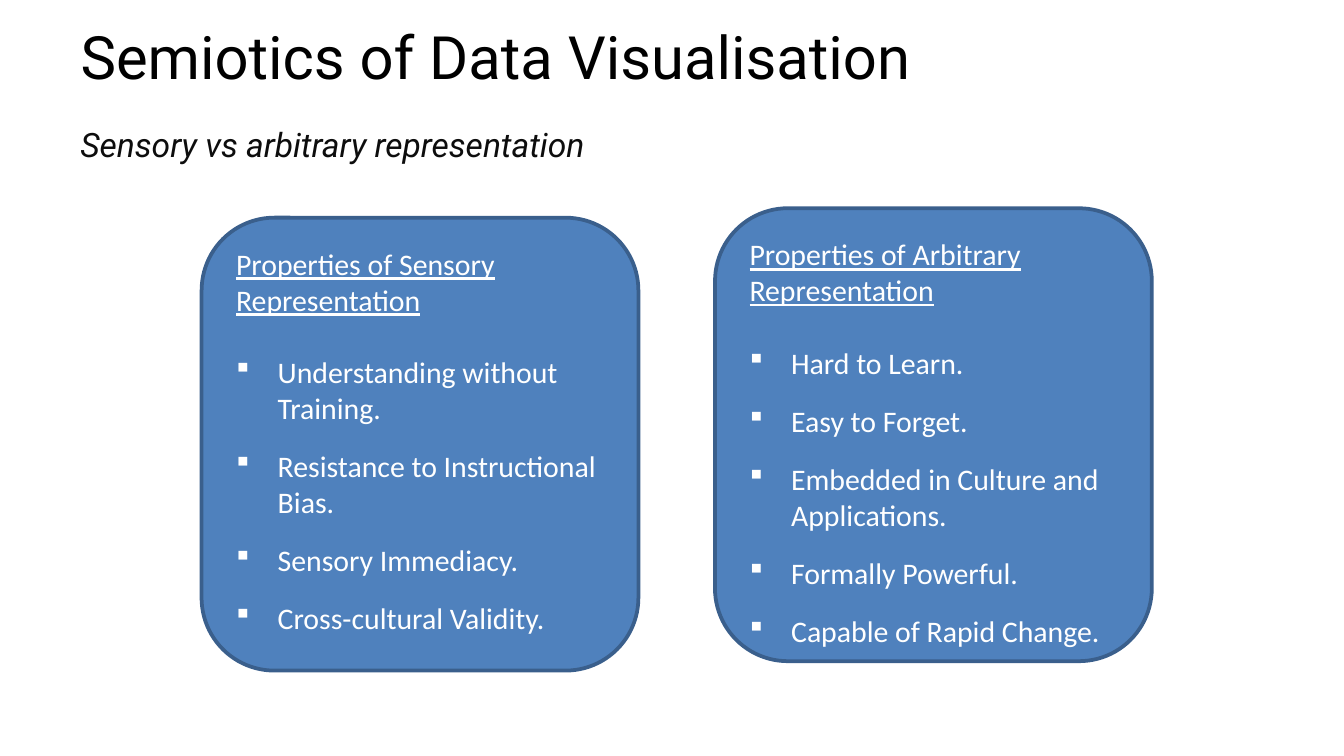
from lxml.etree import SubElement
from pptx import Presentation
from pptx.dml.color import RGBColor as Color
from pptx.enum.shapes import MSO_SHAPE as Shape
from pptx.enum.text import MSO_ANCHOR as Anchor, PP_ALIGN as Align
from pptx.oxml.ns import qn
from pptx.util import Inches, Pt

COLORS = {"title": "000000", "subtitle": "0D0D0D", "panel": "4F81BD", "edge": "3A5F8C", "text": "FFFFFF"}
SLIDE_WIDTH = 10
SLIDE_HEIGHT = SLIDE_WIDTH * 9 / 16
PANEL_WIDTH, PANEL_HEIGHT = 3.25, 3.37
HANG = Inches(0.31)
PANELS = [
    ((1.5, 1.62), "Properties of Sensory Representation", [
        "Understanding without Training.",
        "Resistance to Instructional Bias.",
        "Sensory Immediacy.",
        "Cross-cultural Validity.",
    ]),
    ((5.32, 1.55), "Properties of Arbitrary Representation", [
        "Hard to Learn.",
        "Easy to Forget.",
        "Embedded in Culture and Applications.",
        "Formally Powerful.",
        "Capable of Rapid Change.",
    ]),
]


def color(name):
    return Color.from_string(COLORS[name])


def add_span(para, text, size, font, tint, italic=False, underline=False):
    para.alignment = Align.LEFT
    span = para.add_run()
    span.text = text
    span.font.size = Pt(size)
    span.font.name = font
    span.font.color.rgb = color(tint)
    span.font.italic = italic
    span.font.underline = underline


def add_bullet(para):
    properties = para._p.get_or_add_pPr()
    properties.set("marL", str(HANG))
    properties.set("indent", str(-HANG))
    SubElement(properties, qn("a:buFont")).set("typeface", "Wingdings")
    SubElement(properties, qn("a:buChar")).set("char", "§")


def add_heading(page, title_box, subtitle_box):
    title = page.shapes.title
    title.left, title.top, title.width, title.height = map(Inches, title_box)
    title.text_frame.vertical_anchor = Anchor.MIDDLE
    add_span(title.text_frame.paragraphs[0], "Semiotics of Data Visualisation", 32, "Roboto", "title")

    subtitle = page.shapes.add_textbox(*map(Inches, subtitle_box))
    subtitle.text_frame.word_wrap = True
    add_span(subtitle.text_frame.paragraphs[0], "Sensory vs arbitrary representation",
             18, "Roboto", "subtitle", italic=True)


def add_panel(page, box, heading, points):
    panel = page.shapes.add_shape(Shape.ROUNDED_RECTANGLE, *map(Inches, box))
    panel.shadow.inherit = False
    panel.fill.solid()
    panel.fill.fore_color.rgb = color("panel")
    panel.line.color.rgb = color("edge")
    panel.line.width = Pt(2)
    frame = panel.text_frame
    frame.word_wrap = True
    frame.vertical_anchor = Anchor.TOP
    add_span(frame.paragraphs[0], heading, 16, "Calibri", "text", underline=True)
    for index, point in enumerate(points):
        para = frame.add_paragraph()
        para.space_before = Pt(12 if index else 19.5)
        add_bullet(para)
        add_span(para, point, 16, "Calibri", "text")


def main():
    deck = Presentation()
    deck.slide_width, deck.slide_height = Inches(SLIDE_WIDTH), Inches(SLIDE_HEIGHT)
    page = deck.slides.add_slide(deck.slide_layouts[5])
    add_heading(page, (0.5, 0.09, 9.17, 0.65), (0.5, 0.87, 9.37, 0.45))
    for corner, heading, points in PANELS:
        add_panel(page, (*corner, PANEL_WIDTH, PANEL_HEIGHT), heading, points)
    deck.save("out.pptx")


if __name__ == "__main__":
    main()
